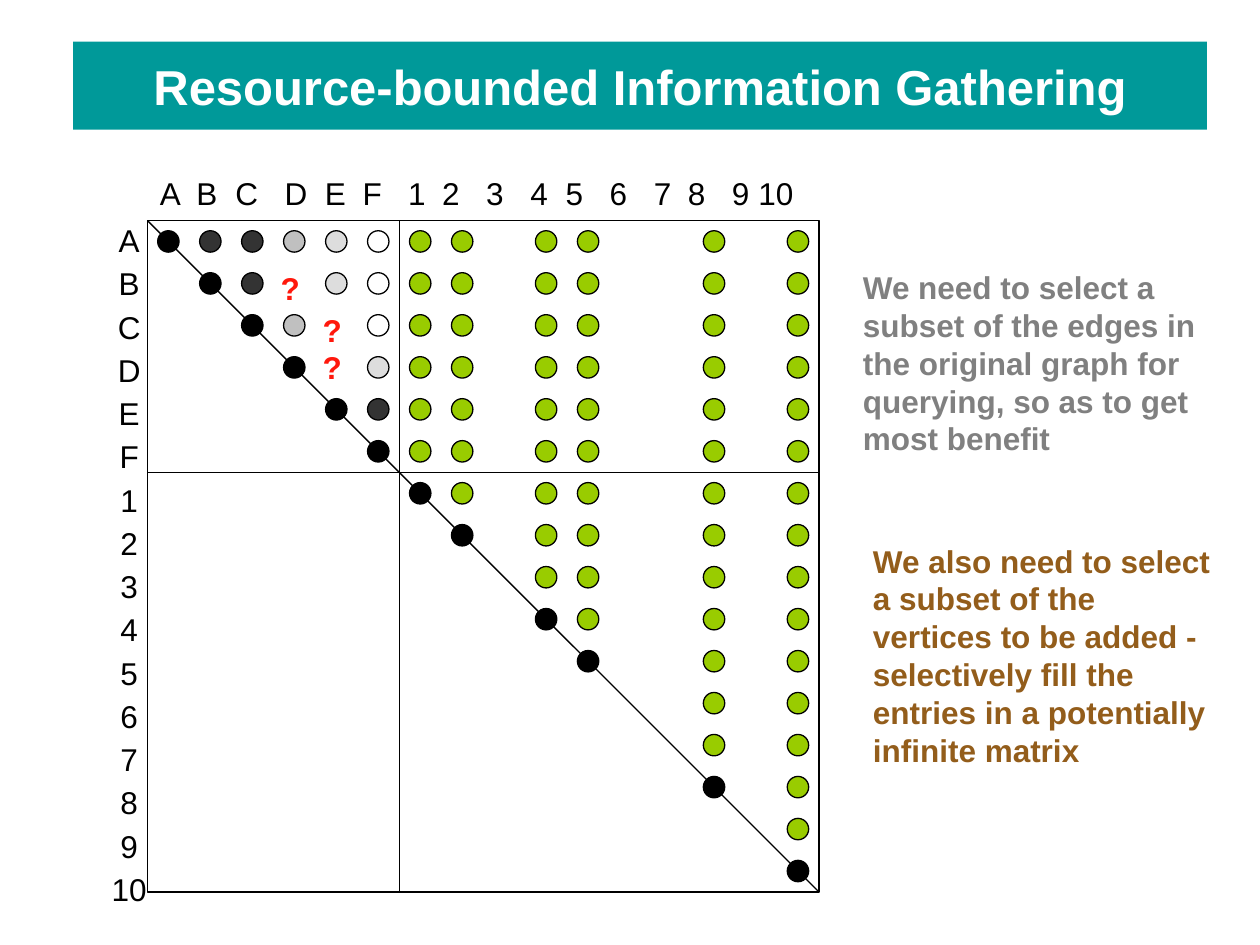
from dataclasses import dataclass
from typing import NamedTuple

from lxml import etree
from pptx import Presentation
from pptx.dml.color import RGBColor
from pptx.enum.shapes import MSO_CONNECTOR, MSO_SHAPE
from pptx.enum.text import MSO_ANCHOR, PP_ALIGN
from pptx.oxml.ns import qn
from pptx.util import Inches, Pt

LEFT, CENTER = PP_ALIGN.LEFT, PP_ALIGN.CENTER
TOP, MIDDLE = MSO_ANCHOR.TOP, MSO_ANCHOR.MIDDLE
RECTANGLE, OVAL = MSO_SHAPE.RECTANGLE, MSO_SHAPE.OVAL
STRAIGHT = MSO_CONNECTOR.STRAIGHT


@dataclass(frozen=True)
class Theme:
    font: str = "Arial"
    title_size: float = 28
    body_size: float = 18
    line_width: float = 0.75
    black: str = "000000"
    white: str = "FFFFFF"
    banner: str = "009999"
    selected: str = "99CC00"
    dark: str = "333333"
    medium: str = "C0C0C0"
    light: str = "DDDDDD"
    question: str = "FF180C"
    edge_note: str = "808080"
    vertex_note: str = "935D1B"


THEME = Theme()

KNOWN = list("ABCDEF")
CANDIDATES = [str(number) for number in range(1, 11)]
VERTICES = KNOWN + CANDIDATES
SELECTED = ["1", "2", "4", "5", "8", "10"]

# Strength of each queried edge, right of the diagonal; None is undecided.
EDGE_SHADES = {
    "A": [THEME.dark, THEME.dark, THEME.medium, THEME.light, THEME.white],
    "B": [THEME.dark, None, THEME.light, THEME.white],
    "C": [THEME.medium, None, THEME.white],
    "D": [None, THEME.light],
    "E": [THEME.dark],
}
COLUMN_TABS = [0.29, 0.60, 0.99, 1.31, 1.61, 1.97, 2.24, 2.59,
               2.94, 3.22, 3.57, 3.92, 4.19, 4.54, 4.75]


class Box(NamedTuple):
    left: int
    top: int
    width: int
    height: int


def inch_box(*lengths):
    return Box(*(Inches(length) for length in lengths))


def write_text(shape, text, *, color=THEME.black, size=THEME.body_size, bold=False,
               align=LEFT, anchor=TOP, side_inset=0.1, line_spacing=None,
               space_before=0, tabs=()):
    """Fill a shape with text, one paragraph for each line."""
    frame = shape.text_frame
    frame.word_wrap = True
    frame.vertical_anchor = anchor
    frame.margin_left = frame.margin_right = Inches(side_inset)
    frame.margin_top = frame.margin_bottom = Inches(0.05)
    for index, line in enumerate(text.split("\n")):
        paragraph = frame.add_paragraph() if index else frame.paragraphs[0]
        run = paragraph.add_run()
        run.text = line
        if tabs:
            properties = paragraph._p.get_or_add_pPr()
            tab_list = etree.SubElement(properties, qn("a:tabLst"))
            for position in tabs:
                etree.SubElement(tab_list, qn("a:tab"),
                                 pos=str(Inches(position)), algn="l")
        paragraph.alignment = align
        if line_spacing:
            paragraph.line_spacing = line_spacing
        if index:
            paragraph.space_before = Pt(space_before)
        run.font.name = THEME.font
        run.font.size = Pt(size)
        run.font.bold = bold
        run.font.color.rgb = RGBColor.from_string(color)


def add_text(slide, box, text, **text_format):
    write_text(slide.shapes.add_textbox(*box), text, **text_format)


def add_figure(slide, kind, box, fill=None, outlined=True):
    shape = slide.shapes.add_shape(kind, *box)
    shape.shadow.inherit = False
    if fill:
        shape.fill.solid()
        shape.fill.fore_color.rgb = RGBColor.from_string(fill)
    else:
        shape.fill.background()
    if outlined:
        shape.line.color.rgb = RGBColor.from_string(THEME.black)
        shape.line.width = Pt(THEME.line_width)
    else:
        shape.line.fill.background()
    return shape


def add_line(slide, *ends):
    line = slide.shapes.add_connector(STRAIGHT, *ends)
    line.line.color.rgb = RGBColor.from_string(THEME.black)
    line.line.width = Pt(THEME.line_width)
    etree.SubElement(line._element.spPr, qn("a:effectLst"))


def add_title(slide, box):
    banner = add_figure(slide, RECTANGLE, box, THEME.banner, outlined=False)
    write_text(banner, "Resource-bounded Information Gathering", color=THEME.white,
               size=THEME.title_size, bold=True, align=CENTER, anchor=MIDDLE)


def add_labels(slide, box):
    """Name the columns above the matrix box and the rows to its left."""
    columns = Box(box.left, box.top - Inches(0.42), Inches(7.82), Inches(0.4))
    add_text(slide, columns, "\t".join(VERTICES), tabs=COLUMN_TABS)
    rows = Box(box.left - Inches(0.39), box.top + Inches(0.05), Inches(0.49), box.height)
    add_text(slide, rows, "\n".join(VERTICES), align=CENTER, side_inset=0.05,
             line_spacing=0.65, space_before=10.7)


def add_grid(slide, box):
    """Frame the matrix, part known from candidate vertices, draw the diagonal."""
    right, bottom = box.left + box.width, box.top + box.height
    share = len(KNOWN) / len(VERTICES)
    split_x = box.left + int(box.width * share)
    split_y = box.top + int(box.height * share)
    add_figure(slide, RECTANGLE, box)
    add_line(slide, split_x, box.top, split_x, bottom)
    add_line(slide, box.left, split_y, right, split_y)
    add_line(slide, box.left, box.top, right, bottom)


def add_entries(slide, box):
    cell = box.width / len(VERTICES)
    dot = Inches(0.17)

    def add_dot(row, column, color):
        inset = (cell - dot) / 2
        add_figure(slide, OVAL, Box(int(box.left + column * cell + inset),
                                    int(box.top + row * cell + inset), dot, dot), color)

    def add_question(row, column):
        lift = Inches(0.04) if KNOWN[row] == "D" else 0
        mark = Box(int(box.left + column * cell) - Inches(0.04),
                   int(box.top + row * cell) - lift, Inches(0.4), Inches(0.4))
        add_text(slide, mark, "?", color=THEME.question, bold=True)

    for row, name in enumerate(KNOWN):
        add_dot(row, row, THEME.black)
        for column, shade in enumerate(EDGE_SHADES.get(name, []), row + 1):
            if shade:
                add_dot(row, column, shade)
            else:
                add_question(row, column)
    for name in SELECTED:
        column = VERTICES.index(name)
        for row in range(column):
            add_dot(row, column, THEME.selected)
        add_dot(column, column, THEME.black)


def add_matrix(slide, box):
    add_labels(slide, box)
    add_grid(slide, box)
    add_entries(slide, box)


def add_note(slide, box, text, color):
    add_text(slide, box, text, color=color, bold=True)


def main():
    presentation = Presentation()
    presentation.slide_width, presentation.slide_height = Inches(10), Inches(7.5)
    slide = presentation.slides.add_slide(presentation.slide_layouts[6])
    add_matrix(slide, inch_box(1.17, 1.75, 5.33, 5.33))
    add_note(slide, inch_box(6.75, 2.08, 2.92, 1.6),
             "We need to select a subset of the edges in the original graph for "
             "querying, so as to get most benefit", THEME.edge_note)
    add_note(slide, inch_box(6.83, 4.25, 2.92, 1.9),
             "We also need to select a subset of the vertices to be added - "
             "selectively fill the entries in a potentially infinite matrix",
             THEME.vertex_note)
    add_title(slide, inch_box(0.58, 0.33, 9, 0.7))
    presentation.save("out.pptx")


if __name__ == "__main__":
    main()
